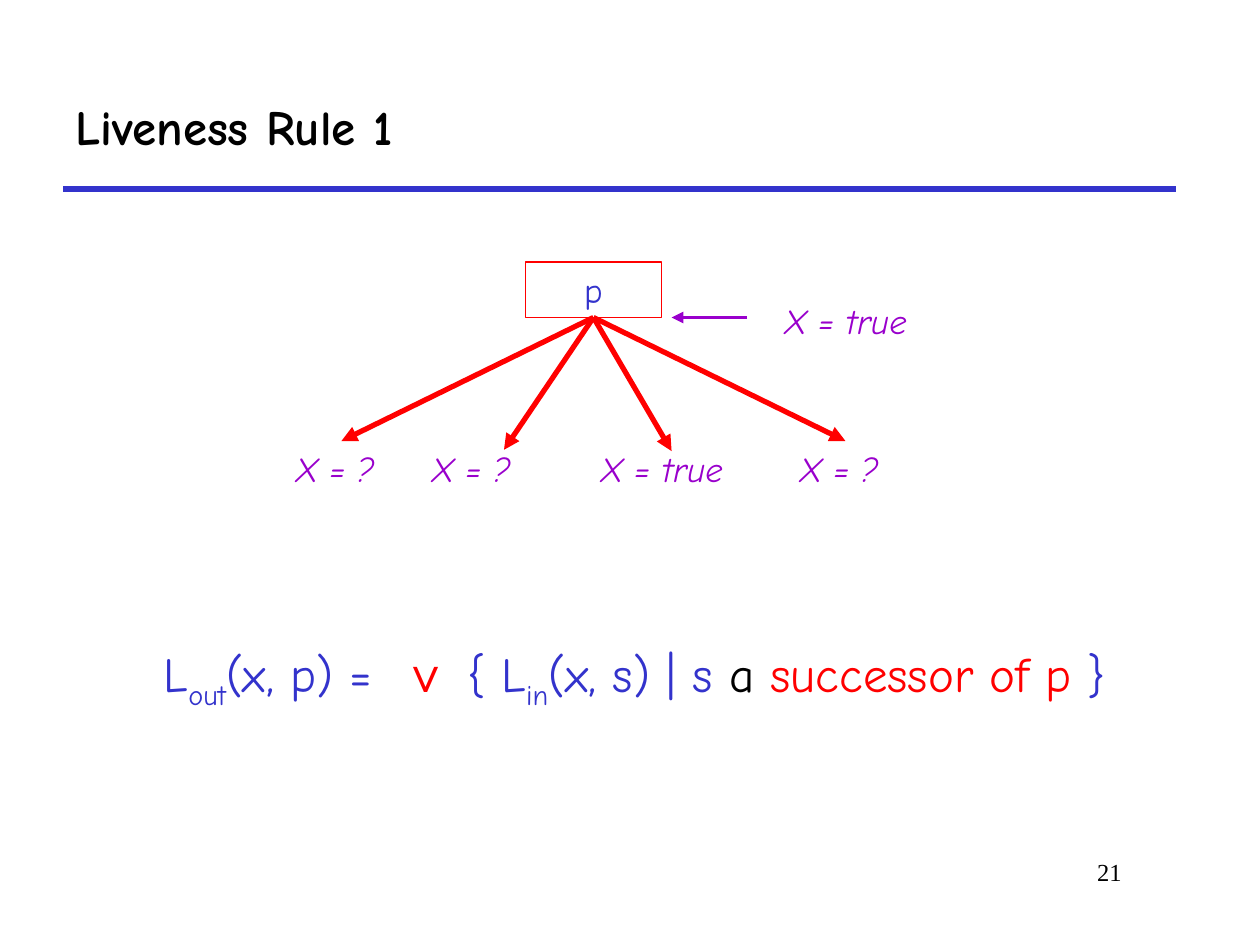
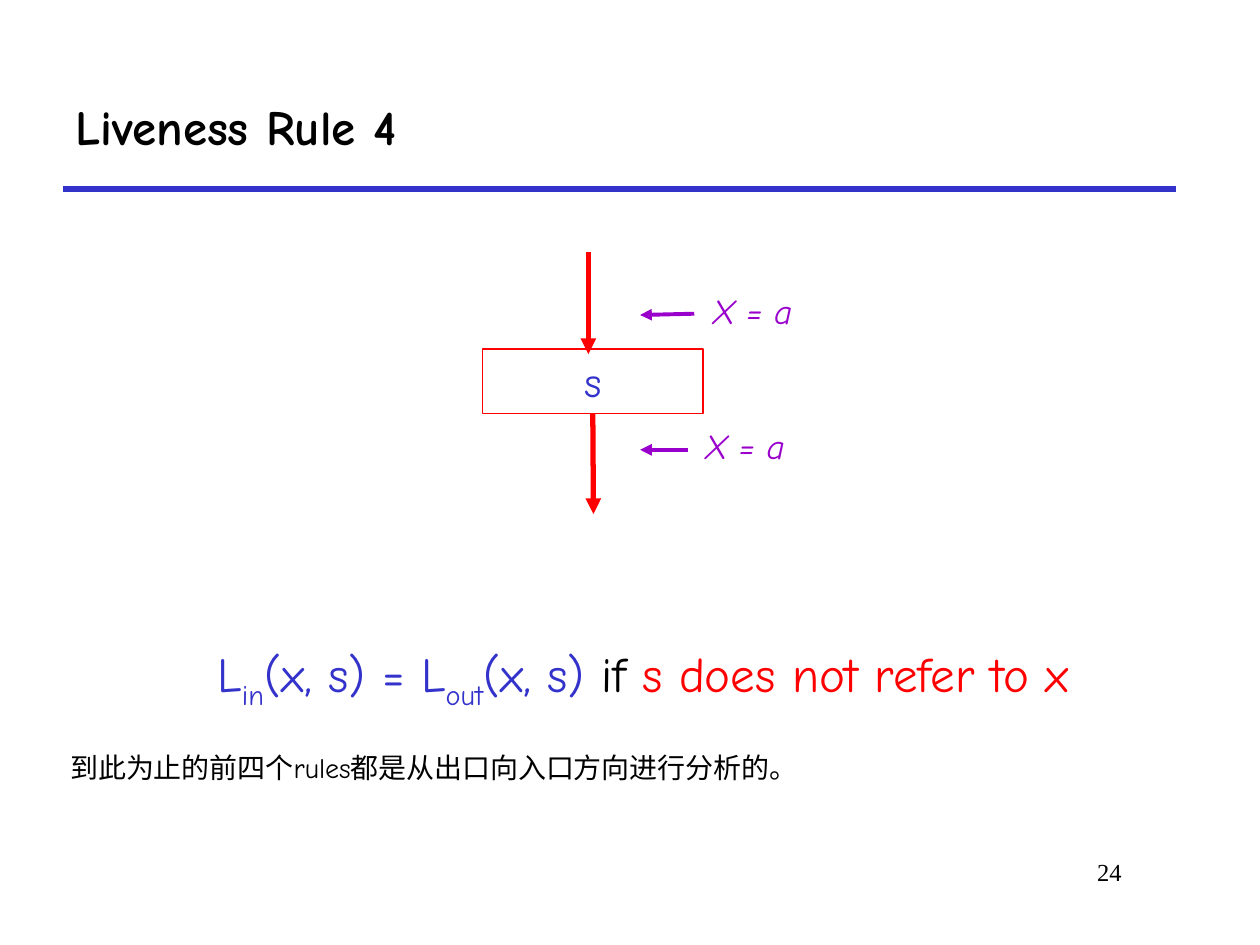
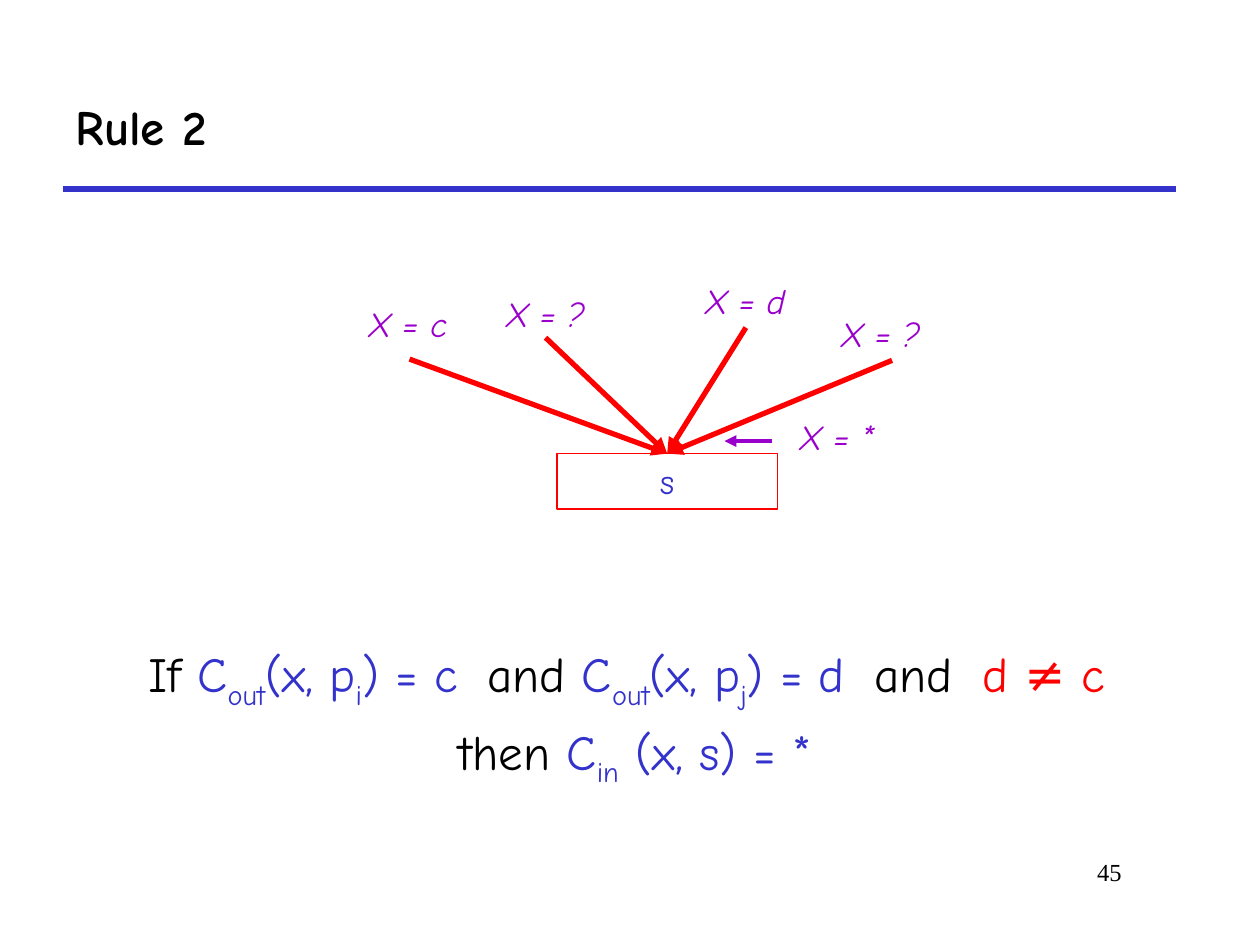
from dataclasses import dataclass
from typing import NamedTuple, Optional, Union

from lxml.etree import SubElement
from pptx import Presentation
from pptx.dml.color import RGBColor
from pptx.enum.shapes import MSO_CONNECTOR, MSO_SHAPE
from pptx.enum.text import MSO_ANCHOR, MSO_AUTO_SIZE, PP_ALIGN
from pptx.oxml.ns import qn
from pptx.shapes.autoshape import Shape
from pptx.shapes.connector import Connector
from pptx.shapes.shapetree import GroupShapes, SlideShapes
from pptx.slide import Slide
from pptx.text.text import _Paragraph as Paragraph
from pptx.util import Inches, Pt

Shapes = Union[SlideShapes, GroupShapes]
BOTTOM_SITE, TOP_SITE = 2, 0


@dataclass(frozen=True)
class Theme:
    font: str = "Comic Neue"
    symbol_font: str = "Arial"
    number_font: str = "Times New Roman"
    black: RGBColor = RGBColor(0x00, 0x00, 0x00)
    blue: RGBColor = RGBColor(0x33, 0x33, 0xCC)
    red: RGBColor = RGBColor(0xFF, 0x00, 0x00)
    purple: RGBColor = RGBColor(0x99, 0x00, 0xCC)
    large: float = 28
    label: float = 20
    note: float = 16
    number: float = 14
    thick_line: float = 3
    pointer_line: float = 2.25
    box_line: float = 0.75
    formula_space: float = 6
    gap_spacing: int = 750


THEME = Theme()


class Point(NamedTuple):
    x: float
    y: float


class Area(NamedTuple):
    left: float
    top: float
    width: float
    height: float


class Span(NamedTuple):
    """A run of text; spacing widens its characters, in hundredths of a point."""
    text: str
    color: RGBColor = THEME.black
    size: float = THEME.large
    font: str = THEME.font
    bold: bool = False
    italic: bool = False
    subscript: bool = False
    spacing: int = 0


class Box(NamedTuple):
    text: str
    area: Area
    size: float = THEME.label


class Arrow(NamedTuple):
    """No start means the bottom of the box, no end means its top."""
    start: Optional[Point] = None
    end: Optional[Point] = None


class Label(NamedTuple):
    text: str
    left: float
    top: float
    width: float = 0.92


class Pointer(NamedTuple):
    label: Label
    start: Point
    end: Point


@dataclass(frozen=True)
class RuleSlide:
    title: str
    number: int
    box: Box
    arrows: list[Arrow]
    labels: list[Label]
    pointers: list[Pointer]
    formula: list[list[Span]]
    note: str = ""


def blue(text: str) -> Span:
    return Span(text, THEME.blue)


def red(text: str) -> Span:
    return Span(text, THEME.red)


def sub(text: str) -> Span:
    return Span(text, THEME.blue, subscript=True)


GAP = Span(" ", spacing=THEME.gap_spacing)

RULES = [
    RuleSlide(
        title="Liveness Rule 1",
        number=21,
        box=Box("p", Area(4.17, 2.08, 1.08, 0.44)),
        arrows=[Arrow(end=Point(2.71, 3.5)), Arrow(end=Point(4, 3.57)),
                Arrow(end=Point(6.71, 3.5)), Arrow(end=Point(5.33, 3.58))],
        labels=[Label("X = ?", 2.25, 3.5), Label("X = ?", 3.33, 3.5),
                Label("X = true", 4.67, 3.5, 1.5), Label("X = ?", 6.25, 3.5)],
        pointers=[Pointer(Label("X = true", 6.13, 2.33, 1.46),
                          Point(5.93, 2.52), Point(5.33, 2.52))],
        formula=[[blue("L"), sub("out"), blue("(x, p) ="), GAP,
                  Span("∨", THEME.red, font=THEME.symbol_font),
                  blue(" { L"), sub("in"), blue("(x, s) | s "), Span("a "),
                  red("successor of p"), blue(" }")]],
    ),
    RuleSlide(
        title="Liveness Rule 4",
        number=24,
        box=Box("s", Area(3.83, 2.77, 1.75, 0.51), THEME.large - 4),
        arrows=[Arrow(end=Point(4.71, 4.08)),
                Arrow(Point(4.67, 2), Point(4.67, 2.81))],
        labels=[],
        pointers=[Pointer(Label("X = a", 5.56, 2.25, 1.52),
                          Point(5.51, 2.49), Point(5.08, 2.5)),
                  Pointer(Label("X = a", 5.5, 3.32, 1.33),
                          Point(5.46, 3.57), Point(5.08, 3.57))],
        formula=[[blue(" L"), sub("in"), blue("(x, s) = L"), sub("out"),
                  blue("(x, s)"), Span(" if "), red("s does not refer to x")]],
        note="到此为止的前四个rules都是从出口向入口方向进行分析的。",
    ),
    RuleSlide(
        title="Rule 2",
        number=45,
        box=Box("s", Area(4.42, 3.6, 1.75, 0.44)),
        arrows=[Arrow(Point(3.25, 2.85)), Arrow(Point(5.92, 2.6)),
                Arrow(Point(4.33, 2.68)), Arrow(Point(7.08, 2.86))],
        labels=[Label("X = c", 2.83, 2.35), Label("X = ?", 3.92, 2.27),
                Label("X = d", 5.5, 2.17), Label("X = ?", 6.58, 2.43)],
        pointers=[Pointer(Label("X = *", 6.25, 3.25),
                          Point(6.13, 3.5), Point(5.75, 3.5))],
        formula=[[Span("If"), blue(" C"), sub("out"), blue("(x, p"), sub("i"),
                  blue(") = c"), GAP, Span("and"), blue(" C"), sub("out"),
                  blue("(x, p"), sub("j"), blue(") = d"), GAP, Span("and"), GAP,
                  red("d ≠ c"), GAP],
                 [Span("then "), blue("C"), sub("in"), blue(" (x, s) = *")]],
    ),
]


def add_spans(paragraph: Paragraph, spans: list[Span]) -> None:
    for span in spans:
        run = paragraph.add_run()
        run.text = span.text
        font = run.font
        font.name, font.size = span.font, Pt(span.size)
        font.bold, font.italic = span.bold, span.italic
        font.color.rgb = span.color
        properties = run._r.get_or_add_rPr()
        if span.subscript:
            properties.set("baseline", "-25000")
        if span.spacing:
            properties.set("spc", str(span.spacing))


def fill_text(shape: Shape, lines: list[list[Span]], align: PP_ALIGN,
              anchor: MSO_ANCHOR = MSO_ANCHOR.TOP) -> None:
    frame = shape.text_frame
    frame.word_wrap = True
    frame.auto_size = MSO_AUTO_SIZE.NONE
    frame.vertical_anchor = anchor
    for index, spans in enumerate(lines):
        paragraph = frame.add_paragraph() if index else frame.paragraphs[0]
        paragraph.alignment = align
        if index:
            paragraph.space_before = Pt(THEME.formula_space)
        add_spans(paragraph, spans)


def add_text(shapes: Shapes, area: Area, lines: list[list[Span]],
             align: PP_ALIGN = PP_ALIGN.LEFT) -> None:
    fill_text(shapes.add_textbox(*map(Inches, area)), lines, align)


def add_line(shapes: Shapes, start: Point, end: Point, color: RGBColor,
             width: float, arrowhead: bool = True) -> Connector:
    connector = shapes.add_connector(MSO_CONNECTOR.STRAIGHT, *map(Inches, start + end))
    connector.line.color.rgb = color
    connector.line.width = Pt(width)
    if arrowhead:
        SubElement(connector.line._get_or_add_ln(), qn("a:tailEnd"), type="triangle")
    SubElement(connector._element.spPr, qn("a:effectLst"))
    return connector


def add_box(slide: Slide, box: Box) -> Shape:
    shape = slide.shapes.add_shape(MSO_SHAPE.RECTANGLE, *map(Inches, box.area))
    shape.shadow.inherit = False
    shape.fill.background()
    shape.line.color.rgb = THEME.red
    shape.line.width = Pt(THEME.box_line)
    fill_text(shape, [[Span(box.text, THEME.blue, box.size)]], PP_ALIGN.CENTER)
    return shape


def add_arrow(slide: Slide, arrow: Arrow, box: Shape) -> None:
    start, end = arrow.start or arrow.end, arrow.end or arrow.start
    connector = add_line(slide.shapes, start, end, THEME.red, THEME.thick_line)
    if arrow.start is None:
        connector.begin_connect(box, BOTTOM_SITE)
    if arrow.end is None:
        connector.end_connect(box, TOP_SITE)


def add_label(shapes: Shapes, label: Label) -> None:
    add_text(shapes, Area(label.left, label.top, label.width, 0.43),
             [[Span(label.text, THEME.purple, THEME.label, italic=True)]])


def add_pointer(slide: Slide, pointer: Pointer) -> None:
    shapes = slide.shapes.add_group_shape().shapes
    add_label(shapes, pointer.label)
    add_line(shapes, pointer.start, pointer.end, THEME.purple, THEME.pointer_line)


def add_frame(slide: Slide, title: str, number: int) -> None:
    """Draw what every slide shares: rule line, page number and title."""
    add_line(slide.shapes, Point(0.5, 1.5), Point(9.33, 1.5), THEME.blue,
             THEME.thick_line, arrowhead=False)
    add_text(slide.shapes, Area(6.92, 6.75, 2.08, 0.5),
             [[Span(str(number), size=THEME.number, font=THEME.number_font)]],
             PP_ALIGN.RIGHT)
    shape = slide.shapes.title
    shape.left, shape.top, shape.width, shape.height = map(Inches, (0.5, 0.5, 8.83, 1))
    fill_text(shape, [[Span(title, bold=True)]], PP_ALIGN.LEFT, MSO_ANCHOR.MIDDLE)


def add_rule_slide(presentation: Presentation, rule: RuleSlide) -> None:
    slide = presentation.slides.add_slide(presentation.slide_layouts[5])
    add_frame(slide, rule.title, rule.number)
    add_text(slide.shapes, Area(0.5, 5.06, 9.08, 1.52), rule.formula, PP_ALIGN.CENTER)
    box = add_box(slide, rule.box)
    for arrow in rule.arrows:
        add_arrow(slide, arrow, box)
    for label in rule.labels:
        add_label(slide.shapes, label)
    for pointer in rule.pointers:
        add_pointer(slide, pointer)
    if rule.note:
        add_text(slide.shapes, Area(0.46, 5.91, 7.6, 0.37),
                 [[Span(rule.note, size=THEME.note)]])


def main() -> None:
    presentation = Presentation()
    presentation.slide_width, presentation.slide_height = Inches(10), Inches(7.5)
    for rule in RULES:
        add_rule_slide(presentation, rule)
    presentation.save("out.pptx")


if __name__ == "__main__":
    main()
